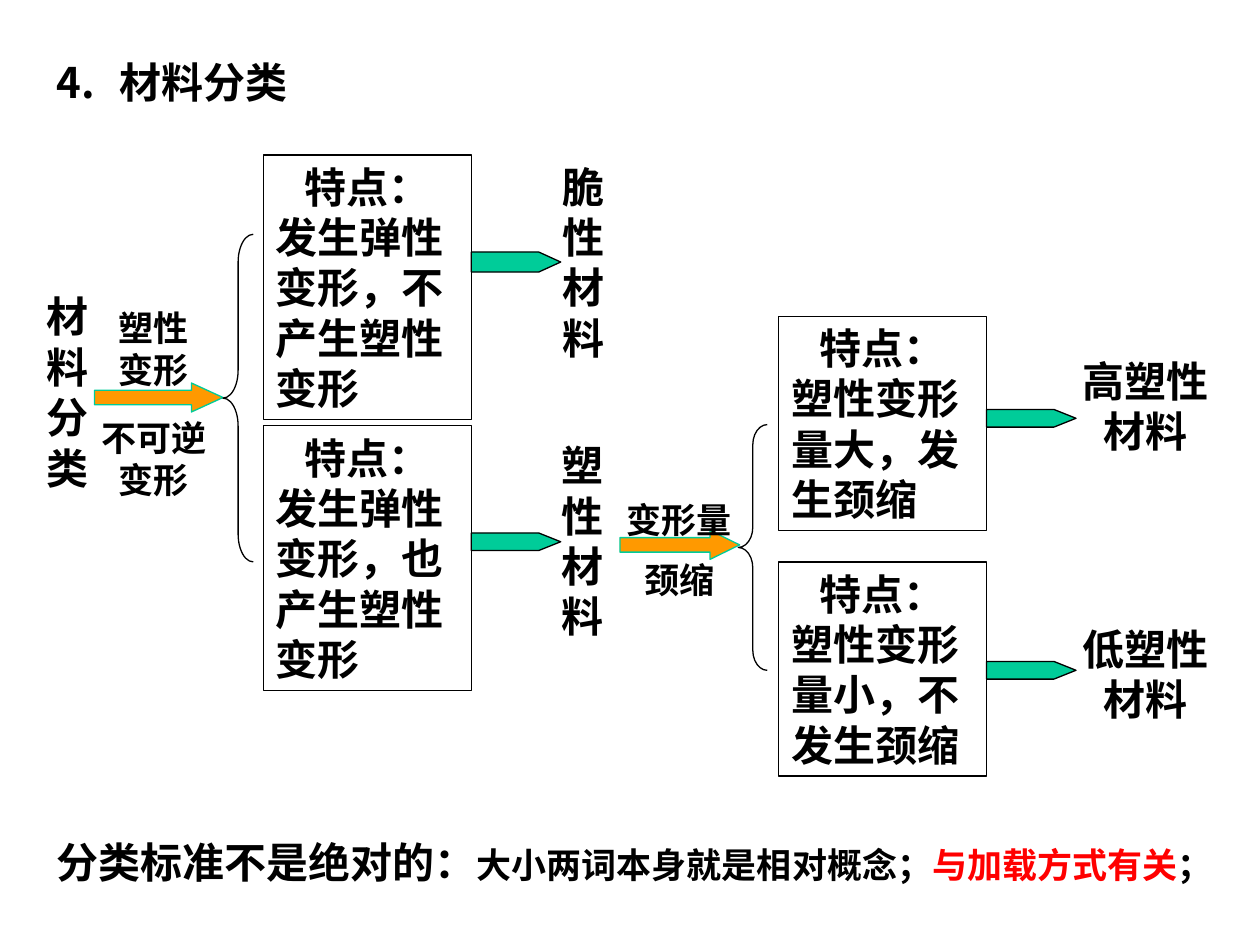
import pptx
import pptx.util
import pptx.dml.color
import pptx.enum.shapes
import pptx.enum.text
import pptx.oxml
import pptx.oxml.ns

Inches = pptx.util.Inches
Pt = pptx.util.Pt
RGBColor = pptx.dml.color.RGBColor
Shape = pptx.enum.shapes.MSO_SHAPE
Align = pptx.enum.text.PP_ALIGN

BLACK = RGBColor(0x00, 0x00, 0x00)
RED = RGBColor(0xFF, 0x00, 0x00)
ORANGE = RGBColor(0xFF, 0x99, 0x00)
GREEN = RGBColor(0x00, 0xCC, 0x99)

FRAME_FORMAT = {
    "word_wrap": True,
    "auto_size": pptx.enum.text.MSO_AUTO_SIZE.NONE,
    "vertical_anchor": pptx.enum.text.MSO_ANCHOR.TOP,
    "margin_left": Inches(0.1),
    "margin_right": Inches(0.1),
    "margin_top": Inches(0.05),
    "margin_bottom": Inches(0.05),
}


def apply_format(target, values):
    for name, value in values.items():
        setattr(target, name, value)


def add_span(para, text, size=24, font="Arial", color=BLACK):
    span = para.add_run()
    span.text = text
    apply_format(span.font, {"name": font, "size": Pt(size), "bold": True})
    span.font.color.rgb = color


def add_title(page, text, number):
    title = page.shapes.title
    apply_format(title, {"left": Inches(0.35), "top": Inches(0.4),
                         "width": Inches(2.13), "height": Inches(0.5)})
    apply_format(title.text_frame, FRAME_FORMAT)
    para = title.text_frame.paragraphs[0]
    apply_format(para, {"alignment": Align.JUSTIFY, "space_after": Pt(15)})
    add_span(para, text, font="Times New Roman")
    # Automatic number with a hanging indent
    properties = para._p.get_or_add_pPr()
    properties.set("marL", str(Inches(0.5)))
    properties.set("indent", str(-Inches(0.5)))
    namespace = pptx.oxml.ns.nsdecls("a")
    for markup in (
        f'<a:buClr {namespace}><a:srgbClr val="{BLACK}"/></a:buClr>',
        f'<a:buFontTx {namespace}/>',
        f'<a:buAutoNum {namespace} type="arabicPeriod" startAt="{number}"/>',
    ):
        properties.append(pptx.oxml.parse_xml(markup))


def add_label(page, place, text, size=24, align=Align.CENTER):
    box = page.shapes.add_textbox(*map(Inches, place))
    apply_format(box.text_frame, FRAME_FORMAT)
    para = box.text_frame.paragraphs[0]
    para.alignment = align
    add_span(para, text, size)


def add_outline(page, kind, place, adjustments=(), fill=None, line=BLACK):
    shape = page.shapes.add_shape(kind, *map(Inches, place))
    shape.shadow.inherit = False
    for index, value in enumerate(adjustments):
        shape.adjustments[index] = value
    if fill is None:
        shape.fill.background()
    else:
        shape.fill.solid()
        shape.fill.fore_color.rgb = fill
    shape.line.color.rgb = line
    shape.line.width = Pt(0.75)
    return shape


def add_feature_box(page, left, top, height, text):
    box = add_outline(page, Shape.RECTANGLE, (left, top, 1.65, height))
    frame = box.text_frame
    apply_format(frame, FRAME_FORMAT)
    heading = frame.paragraphs[0]
    heading.alignment = Align.CENTER
    add_span(heading, "特点：", font="Times New Roman")
    body = frame.add_paragraph()
    body.alignment = Align.LEFT
    add_span(body, text)


def add_result_arrow(page, left, middle, height=0.14):
    add_outline(page, Shape.PENTAGON, (left, middle - height / 2, 0.71, height),
                [0.175 / height], GREEN)


def add_criterion_arrow(page, place, head):
    add_outline(page, Shape.RIGHT_ARROW, place, [0.5, head], ORANGE, GREEN)


def add_brace(page, place, curve):
    add_outline(page, Shape.LEFT_BRACE, place, [curve, 0.5])


def add_conclusion(page):
    box = page.shapes.add_textbox(*map(Inches, (0.35, 6.59, 9.45, 0.5)))
    apply_format(box.text_frame, FRAME_FORMAT)
    para = box.text_frame.paragraphs[0]
    for text, size, color in (
        ("分类标准不是绝对的：", 24, BLACK),
        ("大小两词本身就是相对概念；", 20, BLACK),
        ("与加载方式有关", 20, RED),
        ("；", 20, BLACK),
    ):
        add_span(para, text, size, "Times New Roman", color)


def main():
    deck = pptx.Presentation()
    deck.slide_width, deck.slide_height = Inches(10), Inches(7.5)
    page = deck.slides.add_slide(deck.slide_layouts[5])
    add_title(page, "材料分类", 4)

    # Vertical names: root and the two main classes
    for left, top, width, text in (
        (0.27, 2.26, 0.39, "材料分类"),
        (4.37, 1.23, 0.47, "脆性材料"),
        (4.36, 3.44, 0.47, "塑性材料"),
    ):
        add_label(page, (left, top, width, 1.7), text, align=Align.LEFT)

    # Criteria: arrow, then the words around it, then the brace
    add_criterion_arrow(page, (0.75, 3.04, 1.02, 0.23), 1.09)
    add_criterion_arrow(page, (4.92, 4.21, 0.95, 0.23), 1.02)
    for place, text in (
        ((0.82, 2.38, 0.79, 0.77), "塑性变形"),
        ((0.67, 3.26, 1.1, 0.77), "不可逆变形"),
        ((4.84, 3.91, 1.1, 0.44), "变形量"),
        ((4.84, 4.38, 1.1, 0.44), "颈缩"),
    ):
        add_label(page, place, text, 20)
    add_brace(page, (1.77, 1.86, 0.24, 2.6), 0.92)
    add_brace(page, (5.86, 3.37, 0.23, 1.95), 0.7)

    # Features of each class
    for left, top, height, text in (
        (2.09, 1.23, 2.1, "发生弹性变形，不产生塑性变形"),
        (2.09, 3.38, 2.1, "发生弹性变形，也产生塑性变形"),
        (6.18, 2.51, 1.7, "塑性变形量大，发生颈缩"),
        (6.18, 4.46, 1.7, "塑性变形量小，不 发生颈缩"),
    ):
        add_feature_box(page, left, top, height, text)

    # Arrows from the features to the classes
    add_result_arrow(page, 3.74, 2.08, 0.16)
    add_result_arrow(page, 3.74, 4.3)
    for middle in (3.32, 5.32):
        add_result_arrow(page, 7.83, middle)

    # Plasticity classes
    for top, text in ((2.77, "高塑性材料"), (4.9, "低塑性材料")):
        add_label(page, (8.46, top, 1.26, 0.9), text)

    add_conclusion(page)
    deck.save("out.pptx")


if __name__ == "__main__":
    main()
